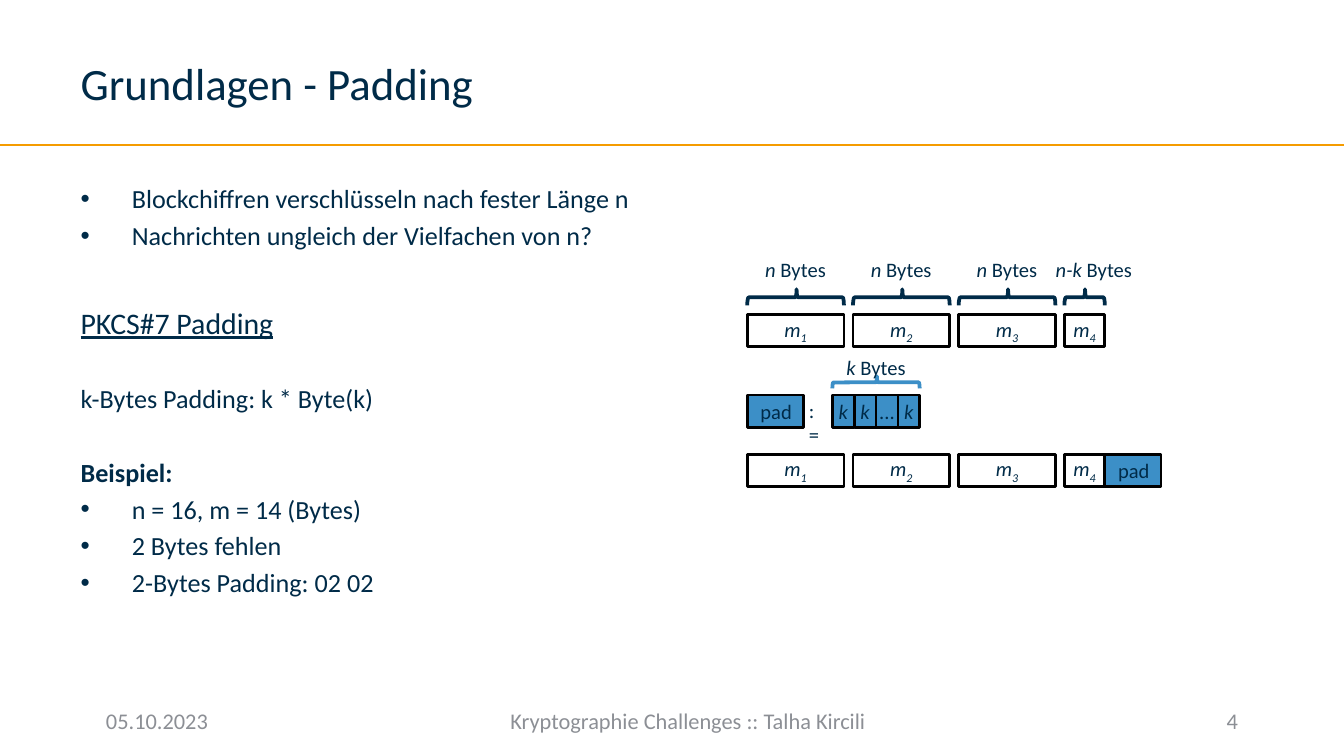
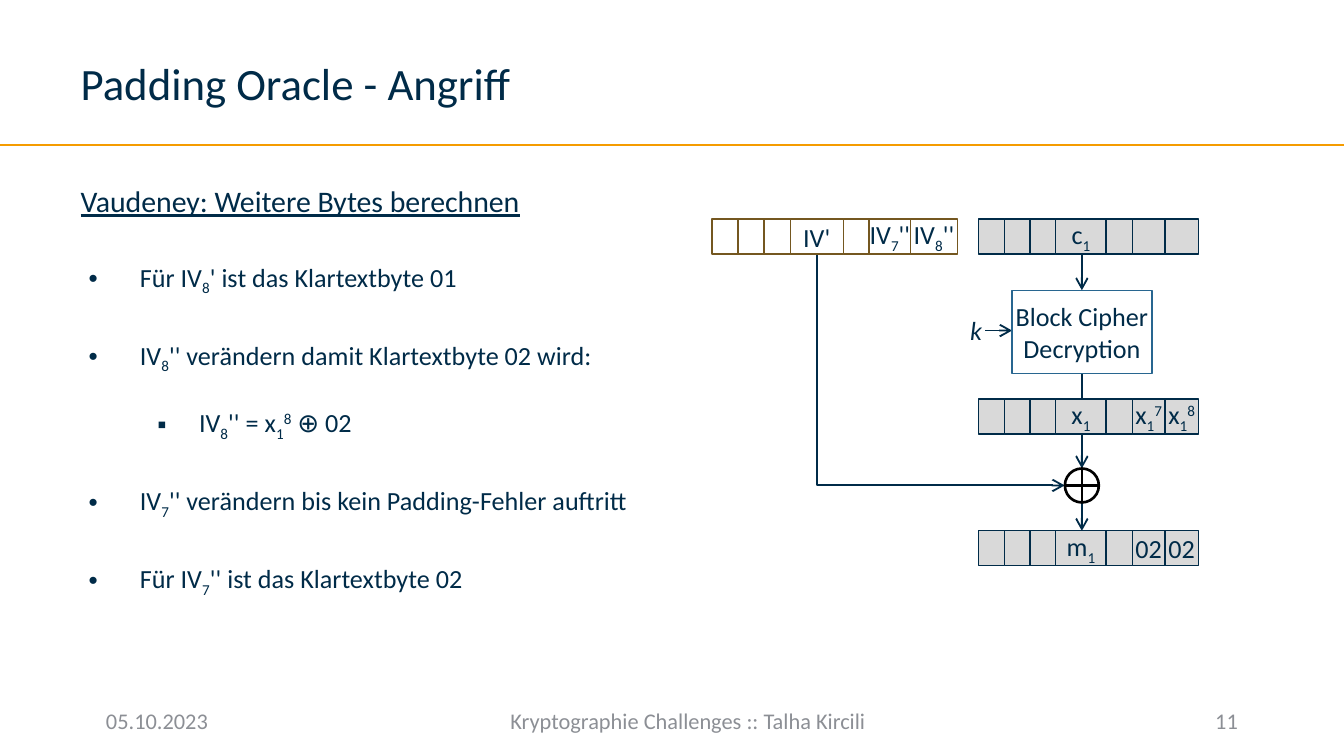
from itertools import accumulate

from lxml.etree import SubElement
from pptx import Presentation
from pptx.dml.color import RGBColor
from pptx.enum.shapes import MSO_CONNECTOR as Link, MSO_SHAPE as Form
from pptx.enum.text import MSO_ANCHOR as Anchor, MSO_AUTO_SIZE as AutoSize, PP_ALIGN as Align
from pptx.oxml.ns import qn
from pptx.util import Pt

COLORS = {
    "navy": "002B48", "orange": "F59C00", "gray": "8C8F95", "blue": "3C8FC7",
    "steel": "286690", "brown": "745720", "silver": "D9D9D9", "black": "000000",
}
FONT = "Calibri"
BULLETS = {
    "wide": ("•", 27.4, -27.4, 0),
    "inset": ("•", 31.7, -27.4, 0),
    "sub": ("▪", 63.4, -22.3, 1),
}


def rgb(color):
    return RGBColor.from_string(COLORS[color])


def write(paragraph, markup, size, color="navy", align=Align.LEFT, bold=False, underline=False):
    paragraph.alignment = align
    for piece in markup.split("|"):
        run = paragraph.add_run()
        run.text = piece.lstrip("~_^")
        if piece.startswith("~"):
            run.font.italic = True
        shift = piece.lstrip("~")[:1]
        if shift in ("_", "^"):
            run.font._element.set("baseline", "-25000" if shift == "_" else "30000")
    for font in (paragraph.font, *(run.font for run in paragraph.runs)):
        font.name = FONT
        font.size = Pt(size)
        font.bold = bold
        font.underline = underline
        font.color.rgb = rgb(color)


def set_bullet(paragraph, bullet):
    properties = paragraph._p.get_or_add_pPr()
    if bullet is None:
        properties.set("marL", "0")
        properties.set("indent", "0")
        SubElement(properties, qn("a:buNone"))
        return
    symbol, margin, indent, paragraph.level = BULLETS[bullet]
    properties.set("marL", str(Pt(margin)))
    properties.set("indent", str(Pt(indent)))
    SubElement(properties, qn("a:buFont"), typeface="Arial")
    SubElement(properties, qn("a:buChar"), char=symbol)


def place(shape, left, top, width, height):
    shape.left, shape.top = Pt(left), Pt(top)
    shape.width, shape.height = Pt(width), Pt(height)


def add_label(slide, box, markup, size, color="navy", align=Align.CENTER, anchor=Anchor.TOP):
    frame = slide.shapes.add_textbox(*map(Pt, box)).text_frame
    frame.word_wrap = False
    frame.vertical_anchor = anchor
    write(frame.paragraphs[0], markup, size, color, align)


def add_outline(slide, form, box, line, weight, fill=None):
    shape = slide.shapes.add_shape(form, *map(Pt, box))
    shape.shadow.inherit = False
    if fill:
        shape.fill.solid()
        shape.fill.fore_color.rgb = rgb(fill)
    else:
        shape.fill.background()
    shape.line.color.rgb = rgb(line)
    shape.line.width = Pt(weight)
    return shape


def add_cell(slide, box, lines, size, line, weight, fill=None, align=Align.CENTER):
    frame = add_outline(slide, Form.RECTANGLE, box, line, weight, fill).text_frame
    frame.word_wrap = False
    frame.vertical_anchor = Anchor.MIDDLE
    for index, markup in enumerate(lines):
        paragraph = frame.add_paragraph() if index else frame.paragraphs[0]
        write(paragraph, markup, size, align=align)


def add_brace(slide, left, top, width, height, color):
    box = (left + (width - height) / 2, top + (height - width) / 2, height, width)
    brace = add_outline(slide, Form.LEFT_BRACE, box, color, 2)
    brace.rotation = 90
    brace.adjustments[0] = 0.083
    brace.adjustments[1] = 0.49


def add_link(slide, start, end, color="navy", weight=1, arrow=False, kind=Link.STRAIGHT):
    link = slide.shapes.add_connector(kind, *map(Pt, (*start, *end)))
    link.line.color.rgb = rgb(color)
    link.line.width = Pt(weight)
    if arrow:
        SubElement(link.line._get_or_add_ln(), qn("a:tailEnd"), type="arrow")
    SubElement(link._element.spPr, qn("a:effectLst"))
    return link


def add_down_right_arrow(slide, start, end):
    center_x, center_y = (start[0] + end[0]) / 2, (start[1] + end[1]) / 2
    half_x, half_y = (end[0] - start[0]) / 2, (end[1] - start[1]) / 2
    link = add_link(slide, (center_x + half_y, center_y - half_x),
                    (center_x - half_y, center_y + half_x), arrow=True, kind=Link.ELBOW)
    properties = link._element.spPr
    properties.find(qn("a:xfrm")).set("rot", "16200000")
    properties.find(qn("a:prstGeom")).set("prst", "bentConnector2")


def add_content_slide(deck, title, number, body_width, entries):
    slide = deck.slides.add_slide(deck.slide_layouts[1])
    add_link(slide, (0, 77.8), (720, 77.8), "orange", 1.25)

    heading, body = slide.placeholders
    place(heading, 36, 16.6, 562.3, 55.4)
    heading.text_frame.vertical_anchor = Anchor.MIDDLE
    heading.text_frame.auto_size = AutoSize.NONE
    write(heading.text_frame.paragraphs[0], title, 24)

    place(body, 36, 94.3, body_width, 267)
    body.text_frame.auto_size = AutoSize.NONE
    for index, (markup, bullet, gap, size, style) in enumerate(entries):
        paragraph = body.text_frame.add_paragraph() if index else body.text_frame.paragraphs[0]
        paragraph.space_before = Pt(gap)
        set_bullet(paragraph, bullet)
        write(paragraph, markup, size, **style)

    footers = (
        (49.7, 72.7, "05.10.2023", Align.LEFT),
        (144.7, 447.8, "Kryptographie Challenges :: Talha Kircili", Align.CENTER),
        (614.9, 55.4, number, Align.RIGHT),
    )
    for left, width, text, align in footers:
        add_label(slide, (left, 375.1, width, 21.6), text, 12, "gray", align, Anchor.MIDDLE)
    return slide


def draw_padding_scheme(slide, left, top):
    height, pad_width, byte_width = 17.3, 30.2, 11.7
    block_widths = (51.8, 51.8, 51.8, 21.6)
    block_lefts = [left + 56.65 * index for index in range(4)]
    padded_end = block_lefts[-1] + block_widths[-1]

    def block(x, y, width, markup, fill=None, align=Align.CENTER):
        add_cell(slide, (x, top + y, width, height), [markup], 11, "black", 1.42, fill, align)

    for y in (34.5, 109.4):
        for index, (x, width) in enumerate(zip(block_lefts, block_widths), 1):
            block(x, y, width, f"~m|~_{index}")

    captions = (("~n| Bytes", 0),) * 3 + (("~n-k| Bytes", 5),)
    for x, width, (caption, nudge) in zip(block_lefts, block_widths, captions):
        add_brace(slide, x, top + 21, width, 8.6, "navy")
        add_label(slide, (x + width / 2 + nudge - 50, top, 100, 21), caption, 11)

    for x, y in ((left, 77.7), (padded_end, 109.4)):
        block(x, y, pad_width, "pad", "blue", Align.LEFT)
    add_label(slide, (left + 25.9, top + 75.5, 22.3, 21), ":=", 11, align=Align.LEFT)

    bytes_left = left + 45.6
    for index, markup in enumerate(("~k", "~k", "...", "~k")):
        block(bytes_left + index * byte_width, 77.7, byte_width, markup, "blue")
    add_brace(slide, bytes_left, top + 67.6, 4 * byte_width, 6.5, "blue")
    add_label(slide, (bytes_left, top + 52.5, 4 * byte_width, 21), "~k| Bytes", 11)


def draw_byte_row(slide, left, top, widths, texts, line, fill=None):
    for x, width, text in zip(accumulate(widths, initial=left), widths, texts):
        add_cell(slide, (x, top, width, 18.7), [text] if text else [], 14, line, 0.75, fill)


def draw_attack(slide, left, top):
    def at(x, y):
        return left + x, top + y

    axis, xor_y = 198.2, 142.7
    arrows = (
        ((axis, 18.7), (axis, 38.1)),
        ((axis, 82.7), (axis, 133.5)),
        ((axis, 151.7), (axis, 167)),
        ((146.4, 59.7), (160.8, 59.7)),
    )
    for start, end in arrows:
        add_link(slide, at(*start), at(*end), arrow=True)
    add_down_right_arrow(slide, at(56.4, 18.7), at(189, xor_y))

    radius = 9.1
    add_outline(slide, Form.OVAL, (*at(axis - radius, xor_y - radius), 2 * radius, 2 * radius),
                "black", 1.42)
    for dx, dy in ((radius, 0), (0, radius)):
        add_link(slide, at(axis - dx, xor_y - dy), at(axis + dx, xor_y + dy), "black", 1.42)

    add_cell(slide, (*at(160.8, 38.1), 74.9, 44.6), ["Block Cipher", "Decryption"], 14, "steel", 0.75)
    add_label(slide, (*at(131.2, 47.5), 15, 25), "~k", 14, align=Align.LEFT)

    iv_widths = (14, 14, 14, 28.4, 13.8, 22.3, 25)
    draw_byte_row(slide, left, top, iv_widths,
                  ("", "", "", "IV'", "", "IV|_7|''", "IV|_8|''"), "brown")
    block_widths = (13.8, 13.8, 13.8, 27, 14, 17.6, 17.8)
    block_rows = (
        (0, "c|_1", "", ""),
        (96.4, "x|_1", "x|_1|^7", "x|_1|^8"),
        (167, "m|_1", "02", "02"),
    )
    for y, name, seventh, eighth in block_rows:
        draw_byte_row(slide, *at(142.8, y), block_widths,
                      ("", "", "", name, "", seventh, eighth), "navy", "silver")


def main():
    deck = Presentation()
    deck.slide_width, deck.slide_height = Pt(720), Pt(405)

    padding = add_content_slide(deck, "Grundlagen - Padding", "4", 648, (
        ("Blockchiffren verschlüsseln nach fester Länge n", "wide", 2.8, 14, {}),
        ("Nachrichten ungleich der Vielfachen von n?", "wide", 2.8, 14, {}),
        ("PKCS#7 Padding", None, 28.8, 16, {"underline": True}),
        ("k-Bytes Padding: k * Byte(k)", None, 22.7, 14, {}),
        ("Beispiel:", None, 22.7, 14, {"bold": True}),
        ("n = 16, m = 14 (Bytes)", "wide", 2.8, 14, {}),
        ("2 Bytes fehlen", "wide", 2.8, 14, {}),
        ("2-Bytes Padding: 02 02", "wide", 2.8, 14, {}),
    ))
    draw_padding_scheme(padding, 400.3, 134)

    attack = add_content_slide(deck, "Padding Oracle - Angriff", "11", 324, (
        ("Vaudeney: Weitere Bytes berechnen", None, 3.2, 16, {"underline": True}),
        ("Für IV|_8|' ist das Klartextbyte 01", "inset", 22.7, 14, {}),
        ("IV|_8|'' verändern damit Klartextbyte 02 wird:", "inset", 22.7, 14, {}),
        ("IV|_8|'' = x|_1|^8| ⊕ 02", "sub", 17, 14, {}),
        ("IV|_7|'' verändern bis kein Padding-Fehler auftritt", "inset", 22.7, 14, {}),
        ("Für IV|_7|'' ist das Klartextbyte 02", "inset", 22.7, 14, {}),
    ))
    draw_attack(attack, 381.4, 117.4)

    deck.save("out.pptx")


if __name__ == "__main__":
    main()
